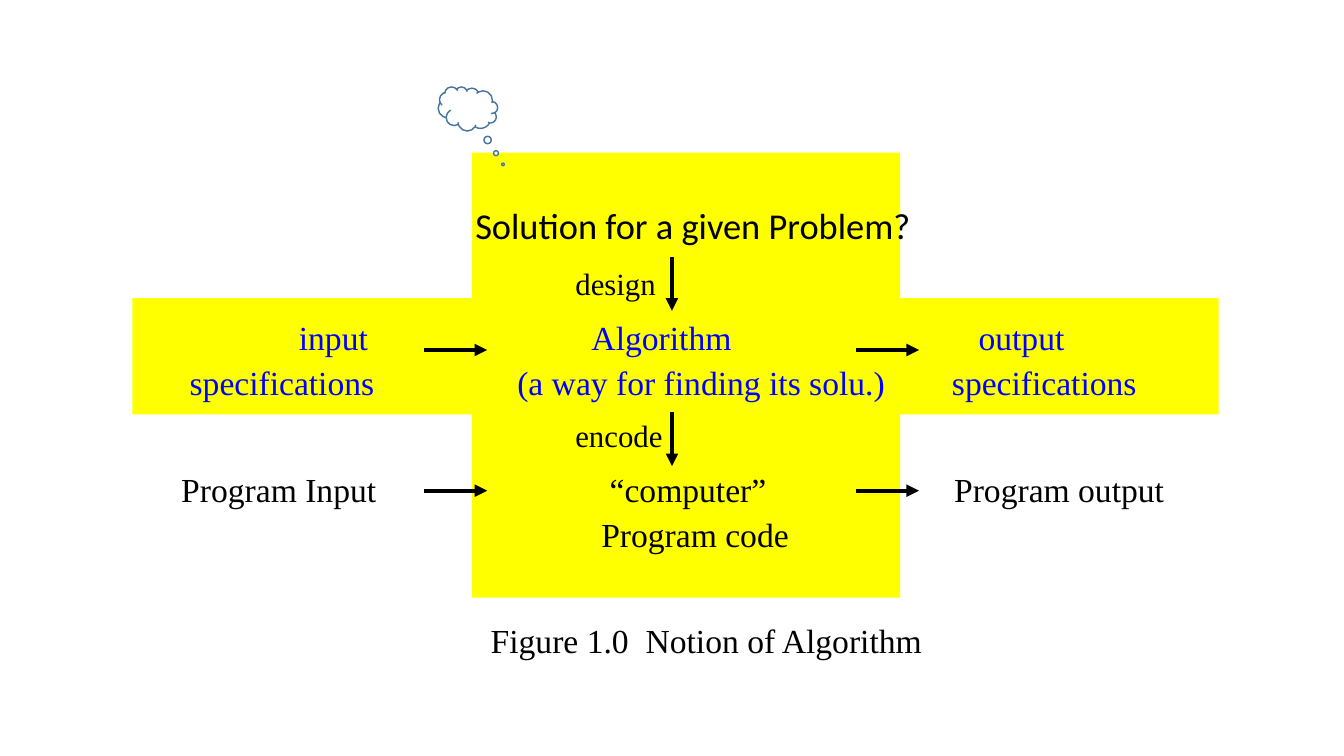
"""Build a slide that shows the notion of an algorithm as a flow diagram."""
import pptx
import pptx.util
import pptx.dml.color
import pptx.enum.shapes
import pptx.oxml
import pptx.oxml.ns

Pt = pptx.util.Pt
SHAPES = pptx.enum.shapes.MSO_SHAPE
COLORS = {"panel": "FFFF00", "text": "000000", "specification": "0000FF",
          "cloud": "FFFFFF", "outline": "43739E"}


def rgb(name):
    return pptx.dml.color.RGBColor.from_string(COLORS[name])


def add_element(parent, tag, **attributes):
    element = pptx.oxml.parse_xml(f"<a:{tag} {pptx.oxml.ns.nsdecls('a')}/>")
    for key, value in attributes.items():
        element.set(key, value)
    parent.append(element)


deck = pptx.Presentation()
deck.slide_width, deck.slide_height = Pt(960), Pt(540)
page = deck.slides.add_slide(deck.slide_layouts[6])

for left, top, width, height in [(337, 109, 306, 318), (94.5, 213, 776, 83)]:
    panel = page.shapes.add_shape(SHAPES.RECTANGLE, Pt(left), Pt(top), Pt(width), Pt(height))
    panel.shadow.inherit = False
    panel.fill.solid()
    panel.fill.fore_color.rgb = rgb("panel")
    panel.line.fill.background()

SERIF = "Times New Roman"
labels = [
    (339.5, 145, 330, 26, "Calibri", "text", [("Solution for a given Problem?", 0)]),
    (411, 189, 70, 22, SERIF, "text", [("design", 0)]),
    (135.5, 226.5, 150, 24, SERIF, "specification", [("input", 78), ("specifications", 0)]),
    (369.5, 226.5, 290, 24, SERIF, "specification",
     [("Algorithm", 53), ("(a way for finding its solu.)", 0)]),
    (680, 226.5, 150, 24, SERIF, "specification", [("output", 19), ("specifications", 0)]),
    (411, 297.5, 70, 22, SERIF, "text", [("encode", 0)]),
    (129.5, 335, 160, 24, SERIF, "text", [("Program Input", 0)]),
    (429.5, 335, 160, 24, SERIF, "text", [("“computer”", 6), ("Program code", 0)]),
    (681.5, 335, 170, 24, SERIF, "text", [("Program output", 0)]),
    (350.5, 443, 340, 24, SERIF, "text", [("Figure 1.0  Notion of Algorithm", 0)]),
]
for left, top, width, size, font, color, lines in labels:
    box = page.shapes.add_textbox(Pt(left), Pt(top), Pt(width), Pt(31 * len(lines)))
    frame = box.text_frame
    frame.word_wrap = True
    frame.margin_left = frame.margin_top = frame.margin_right = frame.margin_bottom = 0
    frame.text = "\n".join(text for text, indent in lines)
    for number, (para, (text, indent)) in enumerate(zip(frame.paragraphs, lines)):
        para.space_before = Pt(3 * number)
        para._p.get_or_add_pPr().set("marL", str(Pt(indent)))
        span = para.runs[0]
        span.font.name = font
        span.font.size = Pt(size)
        span.font.color.rgb = rgb(color)

ARROW_LENGTHS = {"down": (0, 38.5), "right": (45, 0)}
arrows = [("down", 480, 183.5), ("down", 480, 294.5)]
arrows += [("right", left, top) for left in (303, 611.5) for top in (250, 350.5)]
for direction, left, top in arrows:
    across, down = ARROW_LENGTHS[direction]
    arrow = page.shapes.add_connector(pptx.enum.shapes.MSO_CONNECTOR.STRAIGHT,
                                      Pt(left), Pt(top), Pt(left + across), Pt(top + down))
    arrow.line.color.rgb = rgb("text")
    arrow.line.width = Pt(3)
    add_element(arrow.line._get_or_add_ln(), "tailEnd", type="triangle")
    add_element(arrow._element.spPr, "effectLst")

cloud = page.shapes.add_shape(SHAPES.CLOUD_CALLOUT, Pt(313), Pt(62), Pt(42.5), Pt(31.5))
cloud.shadow.inherit = False
cloud._element.spPr.xfrm.set("flipH", "1")
cloud.adjustments[0], cloud.adjustments[1] = -0.59, 1.26
cloud.fill.solid()
cloud.fill.fore_color.rgb = rgb("cloud")
cloud.line.color.rgb = rgb("outline")
cloud.line.width = Pt(1)

deck.save("out.pptx")
